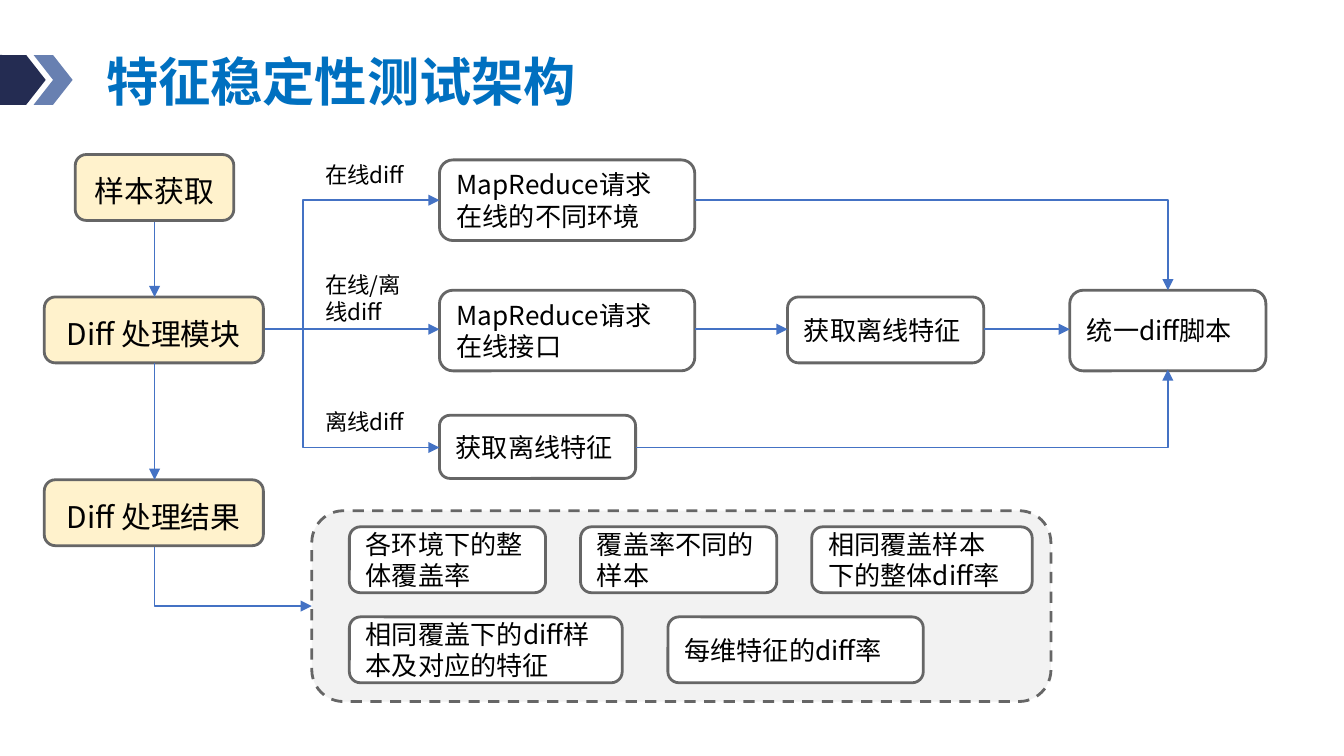
from pptx import Presentation
from pptx.dml.color import RGBColor as RGB
from pptx.enum.dml import MSO_LINE as Dash
from pptx.enum.shapes import MSO_CONNECTOR as Link, MSO_SHAPE as Shape
from pptx.enum.text import MSO_ANCHOR as Anchor, MSO_AUTO_SIZE as Fit, PP_ALIGN as Align
from pptx.oxml.ns import qn
from pptx.util import Inches, Pt
from lxml.etree import SubElement

FONT = "Noto Sans CJK SC"
HEX = {
    "navy": "242C52", "slate": "6880B1", "title": "0070C0", "text": "000000",
    "cream": "FFF2CC", "white": "FFFFFF", "panel": "F2F2F2",
    "edge": "666666", "arrow": "4472C4",
}

deck = Presentation()
deck.slide_width = Inches(10)
deck.slide_height = Inches(10) * 9 // 16
slide = deck.slides.add_slide(deck.slide_layouts[5])
shapes = slide.shapes


def write(frame, text, size, color="text", align=Align.LEFT, space=1.0, bold=False):
    frame.word_wrap = True
    frame.text = text
    for para in frame.paragraphs:
        para.alignment, para.line_spacing = align, space
        font = para.font
        font.size, font.bold, font.name = Pt(size), bold, FONT
        font.color.rgb = RGB.from_string(HEX[color])
        SubElement(font._element, qn("a:ea")).set("typeface", FONT)


def block(kind, place, fill, edge=True):
    shape = shapes.add_shape(kind, *map(Inches, place))
    shape.shadow.inherit = False
    shape.fill.solid()
    shape.fill.fore_color.rgb = RGB.from_string(HEX[fill])
    if edge:
        shape.line.color.rgb = RGB.from_string(HEX["edge"])
        shape.line.width = Pt(1.5)
    else:
        shape.line.fill.background()
    return shape


# Title and its marker
title = shapes.title
title.left, title.top, title.width, title.height = map(Inches, (0.69, 0.4, 6.8, 0.46))
title.text_frame.auto_size = Fit.NONE
title.text_frame.vertical_anchor = Anchor.MIDDLE
write(title.text_frame, "特征稳定性测试架构", 28, "title", space=0.9, bold=True)

bar = block(Shape.ROUNDED_RECTANGLE, (-0.15, 0.41, 0.35, 0.37), "navy", False)
bar.adjustments[0] = 0.1
for x, fill in ((0.25, "slate"), (0.05, "navy")):
    block(Shape.CHEVRON, (x, 0.41, 0.29, 0.37), fill, False)

# Result panel
panel = block(Shape.ROUNDED_RECTANGLE, (2.32, 3.8, 5.5, 1.42), "panel")
panel.line.dash_style = Dash.DASH

# Main stages
for text, x, y, wide in (
    ("样本获取", 0.56, 1.15, 1.18),
    ("Diff 处理模块", 0.33, 2.21, 1.63),
    ("Diff 处理结果", 0.33, 3.57, 1.63),
):
    stage = block(Shape.ROUNDED_RECTANGLE, (x, y, wide, 0.49), "cream")
    write(stage.text_frame, text, 16, align=Align.CENTER, space=1.2)

# Steps and results
for text, *place in (
    ("MapReduce请求\n在线的不同环境", 3.27, 1.19, 1.9, 0.6),
    ("MapReduce请求\n在线接口", 3.27, 2.16, 1.9, 0.6),
    ("获取离线特征", 3.27, 3.09, 1.46, 0.47),
    ("获取离线特征", 5.86, 2.21, 1.46, 0.49),
    ("统一diff脚本", 7.96, 2.16, 1.46, 0.6),
    ("各环境下的整体覆盖率", 2.6, 3.92, 1.46, 0.49),
    ("覆盖率不同的样本", 4.32, 3.92, 1.46, 0.49),
    ("相同覆盖样本\n下的整体diff率", 6.04, 3.92, 1.64, 0.49),
    ("相同覆盖下的diff样本及对应的特征", 2.6, 4.59, 2.03, 0.49),
    ("每维特征的diff率", 4.97, 4.59, 1.9, 0.49),
):
    step = block(Shape.ROUNDED_RECTANGLE, place, "white")
    write(step.text_frame, text, 14)

# Branch labels
for text, y, wide, high in (
    ("在线diff", 1.15, 0.85, 0.3),
    ("在线/离线diff", 1.97, 0.85, 0.5),
    ("离线diff", 2.99, 0.88, 0.3),
):
    label = shapes.add_textbox(*map(Inches, (2.32, y, wide, high)))
    write(label.text_frame, text, 12)

# Arrows: a bend of None is straight, a number is the place of the middle leg,
# "corner" turns once, across first and then up or down
for ends, bend, tip in (
    ((1.15, 1.65, 1.15, 2.21), None, "tailEnd"),
    ((1.15, 2.7, 1.15, 3.57), None, "tailEnd"),
    ((1.97, 2.45, 3.27, 2.45), None, "tailEnd"),
    ((5.17, 2.45, 5.86, 2.45), None, "tailEnd"),
    ((7.32, 2.45, 7.96, 2.45), None, "tailEnd"),
    ((1.97, 2.45, 3.27, 1.49), 0.22, "tailEnd"),
    ((1.97, 2.45, 3.27, 3.33), 0.22, "tailEnd"),
    ((5.17, 1.49, 8.69, 2.16), "corner", "tailEnd"),
    ((4.73, 3.33, 8.69, 2.75), "corner", "tailEnd"),
    ((2.32, 4.51, 1.15, 4.07), "corner", "headEnd"),
):
    kind = Link.ELBOW if bend else Link.STRAIGHT
    arrow = shapes.add_connector(kind, *map(Inches, ends))
    arrow.line.color.rgb = RGB.from_string(HEX["arrow"])
    arrow.line.width = Pt(1)
    props = arrow._element.spPr
    SubElement(props.find(qn("a:ln")), qn(f"a:{tip}")).set("type", "triangle")
    SubElement(props, qn("a:effectLst"))
    geom = props.find(qn("a:prstGeom"))
    if bend == "corner":
        geom.set("prst", "bentConnector2")
    elif bend:
        guide = SubElement(geom.find(qn("a:avLst")), qn("a:gd"))
        guide.set("name", "adj1")
        guide.set("fmla", f"val {round(bend * 100000)}")

deck.save("out.pptx")
